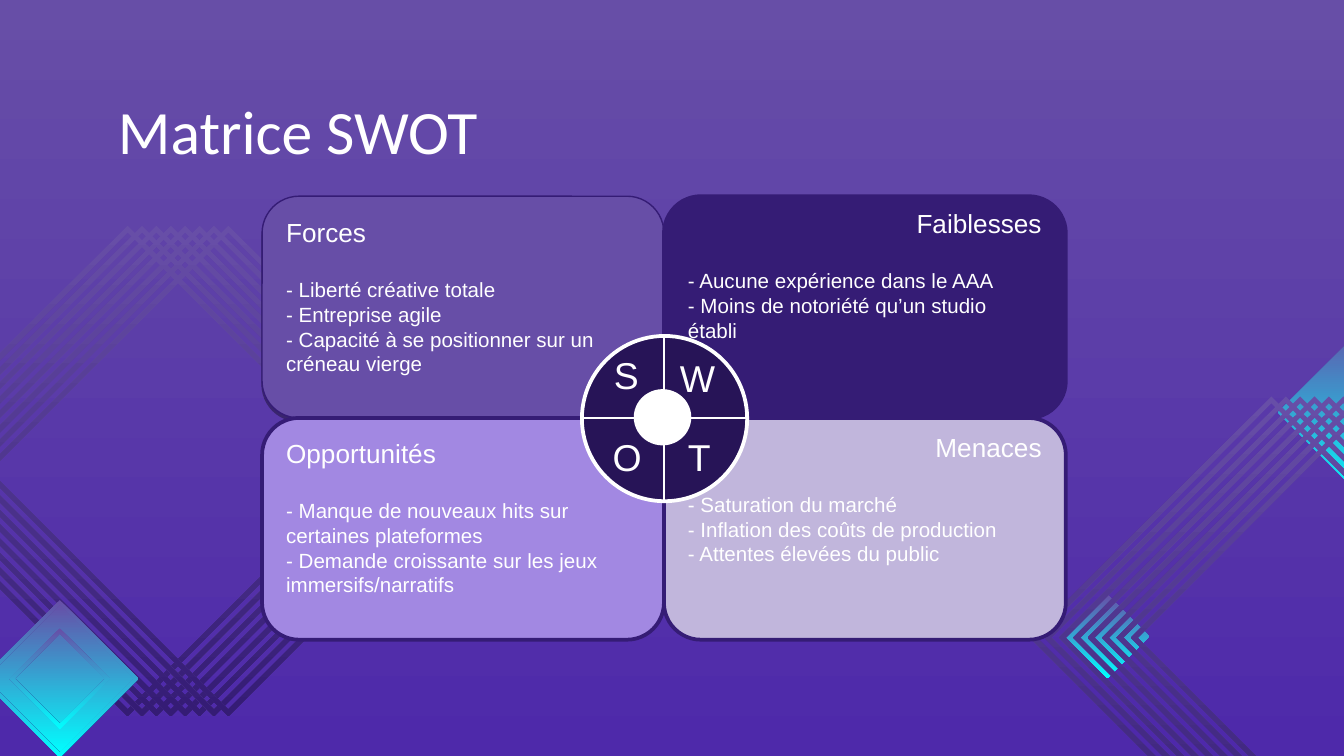
from lxml.etree import SubElement
from pptx import Presentation
from pptx.dml.color import RGBColor
from pptx.enum.shapes import MSO_CONNECTOR as Connector, MSO_SHAPE as Shape
from pptx.enum.text import MSO_ANCHOR as Anchor, PP_ALIGN as Align
from pptx.oxml.ns import qn
from pptx.util import Inches, Pt

COLUMNS, ROWS = 100, 56.25  # grid of square cells
CELL = Inches(0.1)
COLORS = {
    "violet": "674EA7", "indigo": "4E29AA", "dark": "351C75", "cyan": "00FFFF",
    "lilac": "A288E2", "pale": "C1B6DC", "wheel": "271457", "white": "FFFFFF",
    "black": "000000",
}
CARD_LEFT, CARD_TOP, CARD_WIDTH, CARD_HEIGHT = 19.5, 14.6, 29.9, 16.5
WHEEL_LEFT, WHEEL_TOP, WHEEL_SIZE = 43.3, 25, 12.3

# heading, items, fill, line width, heading alignment, top inset in cells
CARDS = [
    ("Forces",
     ["- Liberté créative totale", "- Entreprise agile",
      "- Capacité à se positionner sur un créneau vierge"],
     "violet", 0.75, Align.LEFT, 0.67),
    ("Faiblesses",
     ["- Aucune expérience dans le AAA", "- Moins de notoriété qu’un studio établi"],
     "dark", 2, Align.RIGHT, 0),
    ("Opportunités",
     ["- Manque de nouveaux hits sur certaines plateformes",
      "- Demande croissante sur les jeux immersifs/narratifs"],
     "lilac", 2, Align.LEFT, 0.61),
    ("Menaces",
     ["- Saturation du marché", "- Inflation des coûts de production",
      "- Attentes élevées du public"],
     "pale", 2, Align.RIGHT, 0.16),
]
LETTERS = [("S", 44.7, 25.7), ("W", 49.6, 25.9), ("O", 44.6, 31.8), ("T", 50.2, 31.8)]


def cells(*counts):
    """Turn grid counts into slide lengths."""
    return [round(count * CELL) for count in counts]


def color(name):
    return RGBColor.from_string(COLORS[name])


def fill_gradient(fill, first, last, angle):
    """Blend two colours; the angle runs counter-clockwise."""
    fill.gradient()
    fill.gradient_angle = angle
    for stop, name in zip(fill.gradient_stops, (first, last)):
        stop.color.rgb = color(name)


def style_paragraph(paragraph, size, font="Arial", alignment=Align.LEFT):
    paragraph.alignment = alignment
    for run in paragraph.runs:
        run.font.size = Pt(size)
        run.font.name = font
        run.font.color.rgb = color("white")


def style_shape(shape, fill, line, width):
    shape.shadow.inherit = False
    shape.fill.solid()
    shape.fill.fore_color.rgb = color(fill)
    shape.line.color.rgb = color(line)
    shape.line.width = Pt(width)


def add_diamond(slide, center_x, center_y, radii, last):
    """One radius gives a solid diamond, two give a hollow one."""
    builder = None
    for radius in radii:
        right, top, left, bottom = (
            cells(center_x + dx * radius, center_y + dy * radius)
            for dx, dy in ((1, 0), (0, -1), (-1, 0), (0, 1)))
        if builder is None:
            builder = slide.shapes.build_freeform(*left, scale=1.0)
        else:
            builder.move_to(*left)
        builder.add_line_segments([top, right, bottom], close=True)
    diamond = builder.convert_to_shape()
    diamond.shadow.inherit = False
    fill_gradient(diamond.fill, "violet", last, 270)
    diamond.line.fill.background()


def add_ring_band(slide, first_x, center_y, radii):
    for index in range(8):
        add_diamond(slide, first_x + index * 1.07, center_y, radii, "dark")


def add_decoration(slide):
    add_ring_band(slide, 9.5, 35.05, (18.25, 17.75))
    for radii in ((5.65,), (5.85, 5.5), (3.75, 3.35)):
        add_diamond(slide, 4.45, 50.5, radii, "cyan")
    add_diamond(slide, 82.4, 47.35, (3.13,), "cyan")
    add_diamond(slide, 102, 30.7, (6.9,), "cyan")
    add_ring_band(slide, 94.6, 47.45, (17.95, 17.45))


def add_label(slide, text, box, size, font="Arial"):
    label = slide.shapes.add_textbox(*cells(*box))
    frame = label.text_frame
    frame.word_wrap = True
    frame.text = text
    style_paragraph(frame.paragraphs[0], size, font)
    return label


def add_drop_shadow(shape):
    effects = shape._element.spPr.find(qn("a:effectLst"))
    shadow = SubElement(effects, qn("a:outerShdw"), blurRad="0",
                        dist=str(Pt(1.8)), dir="5400000", rotWithShape="0")
    tone = SubElement(shadow, qn("a:srgbClr"), val=COLORS["black"])
    SubElement(tone, qn("a:alpha"), val="35000")


def add_card(slide, index, heading, items, fill, width, alignment, inset):
    row, column = divmod(index, 2)
    card = slide.shapes.add_shape(Shape.ROUNDED_RECTANGLE, *cells(
        CARD_LEFT + column * CARD_WIDTH, CARD_TOP + row * CARD_HEIGHT,
        CARD_WIDTH, CARD_HEIGHT))
    style_shape(card, fill, "dark", width)
    frame = card.text_frame
    frame.word_wrap = True
    frame.vertical_anchor = Anchor.TOP
    frame.margin_top, frame.margin_bottom = cells(inset, 0)
    frame.text = heading
    style_paragraph(frame.paragraphs[0], 14, alignment=alignment)
    body = frame.add_paragraph()
    body.text = "\v".join(items)
    body.space_before = Pt(16)
    style_paragraph(body, 11)
    return card


def add_spoke(slide, *ends):
    spoke = slide.shapes.add_connector(Connector.STRAIGHT, *cells(*ends))
    spoke.line.color.rgb = color("white")
    spoke.line.width = Pt(1.5)
    SubElement(spoke._element.spPr, qn("a:effectLst"))


def add_wheel(slide):
    for box, fill in (
            ((WHEEL_LEFT, WHEEL_TOP, WHEEL_SIZE, WHEEL_SIZE), "wheel"),
            ((47.3, 29.1, 4, 3.9), "white")):
        disc = slide.shapes.add_shape(Shape.OVAL, *cells(*box))
        style_shape(disc, fill, "white", 2)
    for letter, left, top in LETTERS:
        add_label(slide, letter, (left, top, 5.7, 4.3), 20)
    middle_x = CARD_LEFT + CARD_WIDTH
    middle_y = CARD_TOP + CARD_HEIGHT
    add_spoke(slide, WHEEL_LEFT, middle_y, WHEEL_LEFT + WHEEL_SIZE, middle_y)
    add_spoke(slide, middle_x, WHEEL_TOP + WHEEL_SIZE, middle_x, WHEEL_TOP)


def main():
    presentation = Presentation()
    presentation.slide_width, presentation.slide_height = cells(COLUMNS, ROWS)
    slide = presentation.slides.add_slide(presentation.slide_layouts[6])
    fill_gradient(slide.background.fill, "indigo", "violet", 90)
    add_decoration(slide)
    title = add_label(slide, "Matrice SWOT", (7.8, 5.9, 84.4, 6.3), 33, "Calibri")
    title.text_frame.margin_top = CELL
    cards = [add_card(slide, index, *card) for index, card in enumerate(CARDS)]
    add_drop_shadow(cards[0])
    add_wheel(slide)
    presentation.save("out.pptx")


if __name__ == "__main__":
    main()
